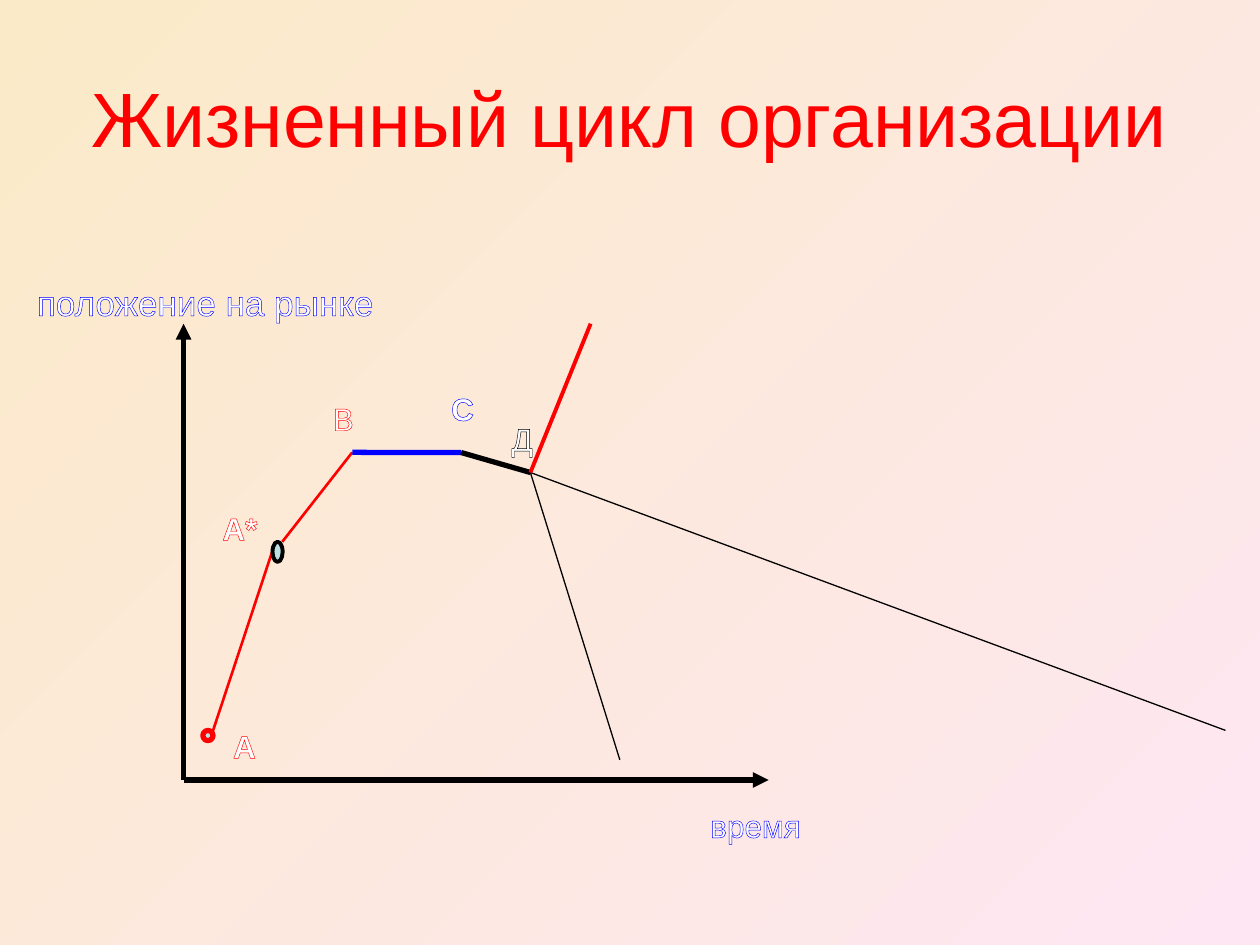
from lxml.etree import SubElement
from pptx import Presentation
from pptx.dml.color import RGBColor
from pptx.enum.shapes import MSO_CONNECTOR, MSO_SHAPE
from pptx.enum.text import MSO_ANCHOR, PP_ALIGN
from pptx.oxml import parse_xml
from pptx.oxml.ns import nsdecls, qn
from pptx.util import Pt

RED = RGBColor(0xFF, 0x00, 0x00)
BLUE = RGBColor(0x00, 0x00, 0xFF)
BLACK = RGBColor(0x00, 0x00, 0x00)
WHITE = RGBColor(0xFF, 0xFF, 0xFF)
PALE_TEAL = RGBColor(0xBB, 0xE0, 0xE3)
CREAM = RGBColor(0xFB, 0xEA, 0xC7)
PINK = RGBColor(0xFE, 0xE7, 0xF2)

# Key points of the chart, in points
ORIGIN = (104.9, 445.7)
AXIS_TOP = (104.9, 185)
AXIS_RIGHT = (439.2, 445.7)
GROWTH_START = (121.7, 417.6)
GROWTH_PAUSE = (155.5, 315.4)
GROWTH_RESUME = (161.3, 309.6)
MATURITY = (201.3, 258.5)
DECLINE = (263.5, 258.6)
CHOICE = (303.1, 270)
REVIVAL = (337.5, 185)
COLLAPSE = (354.2, 434.2)
SLOW_FADE = (700.3, 417.4)


def write_text(frame, text, size, color, bold=False, outline=None, outline_width=0.75):
    para = frame.paragraphs[0]
    para.alignment = PP_ALIGN.CENTER
    span = para.add_run()
    span.text = text
    span.font.name = "Arial"
    span.font.size = Pt(size)
    span.font.bold = bold
    span.font.color.rgb = color
    if outline is not None:
        span.font._element.insert(0, parse_xml(
            f'<a:ln {nsdecls("a")} w="{Pt(outline_width)}"><a:solidFill>'
            f'<a:srgbClr val="{outline}"/></a:solidFill></a:ln>'))


class LifeCycleSlide:
    def __init__(self, deck):
        self.page = deck.slides.add_slide(deck.slide_layouts[6])

    def background(self, start, end):
        fill = self.page.background.fill
        fill.gradient()
        fill.gradient_angle = 315
        for stop, color in zip(fill.gradient_stops, (start, end)):
            stop.color.rgb = color

    def title(self, text):
        box = self.page.shapes.add_textbox(Pt(36), Pt(21.6), Pt(648), Pt(90))
        box.text_frame.word_wrap = True
        box.text_frame.vertical_anchor = MSO_ANCHOR.MIDDLE
        write_text(box.text_frame, text, 44, RED)

    def label(self, text, left, top, width, height, outline, size=18, **style):
        """Add white outlined text, with a little room on both sides to stay on one line."""
        room = 2
        box = self.page.shapes.add_textbox(
            Pt(left - room), Pt(top), Pt(width + 2 * room), Pt(height))
        frame = box.text_frame
        frame.word_wrap = False
        frame.margin_left = frame.margin_right = 0
        write_text(frame, text, size, WHITE, outline=outline, **style)

    def line(self, start, end, color, width, arrow=False):
        line = self.page.shapes.add_connector(
            MSO_CONNECTOR.STRAIGHT, *(Pt(value) for value in (*start, *end)))
        line.line.color.rgb = color
        line.line.width = Pt(width)
        if arrow:
            SubElement(line.line._get_or_add_ln(), qn("a:tailEnd"), type="triangle")
        SubElement(line._element.spPr, qn("a:effectLst"))

    def marker(self, left, top, width, height, color, line_width):
        dot = self.page.shapes.add_shape(
            MSO_SHAPE.OVAL, Pt(left), Pt(top), Pt(width), Pt(height))
        dot.shadow.inherit = False
        dot.fill.solid()
        dot.fill.fore_color.rgb = PALE_TEAL
        dot.line.color.rgb = color
        dot.line.width = Pt(line_width)


def main():
    deck = Presentation()
    deck.slide_width, deck.slide_height = Pt(720), Pt(540)
    slide = LifeCycleSlide(deck)
    slide.background(CREAM, PINK)
    slide.title("Жизненный цикл организации")

    slide.line(ORIGIN, AXIS_TOP, BLACK, 3, arrow=True)
    slide.label("положение на рынке", 19.4, 157, 195.8, 23.8, BLUE, size=20)
    slide.line(ORIGIN, AXIS_RIGHT, BLACK, 3, arrow=True)
    slide.label("время", 405.4, 457.2, 52.6, 20.2, BLUE)

    slide.line(GROWTH_START, GROWTH_PAUSE, RED, 1.5)
    slide.marker(115.9, 417.4, 5.8, 5.8, RED, 3)
    slide.marker(155.7, 309.6, 5.8, 11.5, BLACK, 2.25)

    for start, end, color, width in (
        (GROWTH_RESUME, MATURITY, RED, 1.5),
        (MATURITY, DECLINE, BLUE, 3),
        (DECLINE, CHOICE, BLACK, 3),
        (CHOICE, COLLAPSE, BLACK, 0.75),
        (CHOICE, SLOW_FADE, BLACK, 0.75),
        (CHOICE, REVIVAL, RED, 2.25),
    ):
        slide.line(start, end, color, width)

    for text, left, top, width, color, bold, outline_width in (
        ("А", 133.2, 411.8, 13, RED, True, 2.25),
        ("А*", 127.4, 287.3, 19.4, RED, True, 0.75),
        ("В", 190.1, 224.6, 12.2, RED, False, 2.25),
        ("С", 257.8, 218.9, 13, BLUE, True, 2.25),
        ("Д", 292.3, 236.2, 12.2, BLACK, False, 2.25),
    ):
        slide.label(text, left, top, width, 21, color, bold=bold,
                    outline_width=outline_width)

    deck.save("out.pptx")


if __name__ == "__main__":
    main()
